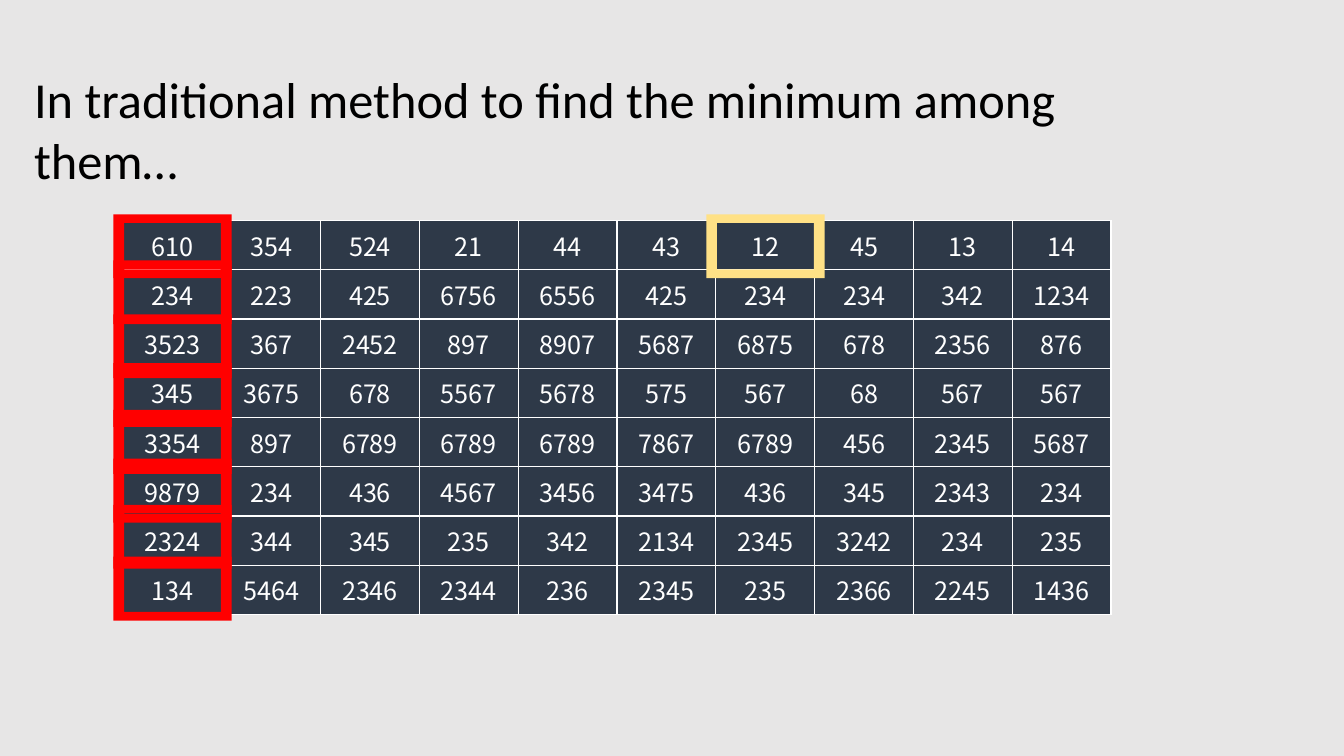
from dataclasses import dataclass

from lxml.etree import SubElement
from pptx import Presentation
from pptx.dml.color import RGBColor
from pptx.enum.text import MSO_ANCHOR, MSO_AUTO_SIZE, PP_ALIGN
from pptx.oxml.ns import qn
from pptx.slide import Slide
from pptx.table import _Cell
from pptx.text.text import TextFrame
from pptx.util import Cm, Pt

COLORS = {
    "background": "E7E6E6",
    "cell": "2E3948",
    "white": "FFFFFF",
    "black": "000000",
    "visited": "FF0000",
    "minimum": "FFE186",
}

NUMBERS = [
    [610, 354, 524, 21, 44, 43, 12, 45, 13, 14],
    [234, 223, 425, 6756, 6556, 425, 234, 234, 342, 1234],
    [3523, 367, 2452, 897, 8907, 5687, 6875, 678, 2356, 876],
    [345, 3675, 678, 5567, 5678, 575, 567, 68, 567, 567],
    [3354, 897, 6789, 6789, 6789, 7867, 6789, 456, 2345, 5687],
    [9879, 234, 436, 4567, 3456, 3475, 436, 345, 2343, 234],
    [2324, 344, 345, 235, 342, 2134, 2345, 3242, 234, 235],
    [134, 5464, 2346, 2344, 236, 2345, 235, 2366, 2245, 1436],
]

TABLE_LEFT, TABLE_TOP = 3.1, 5.56
COL_WIDTH, ROW_HEIGHT = 2.49, 1.24
FRAME_WIDTH, FRAME_HEIGHT = 2.98, 1.61
FRAME_EDGE_X, FRAME_EDGE_Y = 0.27, 0.22
VISITED_LEFT = 2.86
VISITED_TOPS = [5.4, 6.56, 7.92, 9.15, 10.33, 11.56, 12.72, 14.03]


@dataclass
class Frame:
    left: float
    top: float
    color: str


FRAMES = [Frame(VISITED_LEFT, top, "visited") for top in VISITED_TOPS]
FRAMES.append(Frame(VISITED_LEFT + 6 * COL_WIDTH, VISITED_TOPS[0], "minimum"))


def rgb(name: str) -> RGBColor:
    return RGBColor.from_string(COLORS[name])


def write_text(tf: TextFrame, text: str, *, font: str, size: float, color: str,
               align: PP_ALIGN = PP_ALIGN.LEFT) -> None:
    p = tf.paragraphs[0]
    p.alignment = align
    r = p.add_run()
    r.text = text
    r.font.name = font
    r.font.size = Pt(size)
    r.font.color.rgb = rgb(color)


def add_borders(cell: _Cell, color: str, width: float) -> None:
    tc_pr = cell._tc.get_or_add_tcPr()
    for i, side in enumerate(("a:lnL", "a:lnR", "a:lnT", "a:lnB")):
        ln = SubElement(tc_pr, qn(side), w=str(Pt(width)))
        fill = SubElement(ln, qn("a:solidFill"))
        SubElement(fill, qn("a:srgbClr"), val=COLORS[color])
        tc_pr.insert(i, ln)


def add_title(s: Slide) -> None:
    sp = s.shapes.add_textbox(Cm(0.61), Cm(1.6), Cm(28.4), Cm(1.8))
    tf = sp.text_frame
    tf.word_wrap = True
    tf.auto_size = MSO_AUTO_SIZE.SHAPE_TO_FIT_TEXT
    write_text(tf, "In traditional method to find the minimum among them…",
               font="Calibri", size=36, color="black")


def add_numbers(s: Slide) -> None:
    rows, cols = len(NUMBERS), len(NUMBERS[0])
    table = s.shapes.add_table(rows, cols, Cm(TABLE_LEFT), Cm(TABLE_TOP),
                               Cm(cols * COL_WIDTH), Cm(rows * ROW_HEIGHT)).table
    for col in table.columns:
        col.width = Cm(COL_WIDTH)
    for row, values in zip(table.rows, NUMBERS):
        row.height = Cm(ROW_HEIGHT)
        for cell, value in zip(row.cells, values):
            cell.fill.solid()
            cell.fill.fore_color.rgb = rgb("cell")
            cell.vertical_anchor = MSO_ANCHOR.MIDDLE
            add_borders(cell, "white", 1)
            write_text(cell.text_frame, str(value), font="Noto Sans CJK JP",
                       size=18, color="white", align=PP_ALIGN.CENTER)


def add_frame(s: Slide, frame: Frame) -> None:
    left, top = Cm(frame.left), Cm(frame.top)
    right, bottom = left + Cm(FRAME_WIDTH), top + Cm(FRAME_HEIGHT)
    dx, dy = Cm(FRAME_EDGE_X), Cm(FRAME_EDGE_Y)
    builder = s.shapes.build_freeform(left, top)
    builder.add_line_segments([(right, top), (right, bottom), (left, bottom)])
    builder.move_to(left + dx, top + dy)
    builder.add_line_segments([(left + dx, bottom - dy), (right - dx, bottom - dy),
                               (right - dx, top + dy)])
    sp = builder.convert_to_shape()
    sp.shadow.inherit = False
    sp.fill.solid()
    sp.fill.fore_color.rgb = rgb(frame.color)
    sp.line.fill.background()


def main() -> None:
    prs = Presentation()
    prs.slide_width, prs.slide_height = Cm(33.87), Cm(19.05)
    s = prs.slides.add_slide(prs.slide_layouts[6])
    s.background.fill.solid()
    s.background.fill.fore_color.rgb = rgb("background")
    add_numbers(s)
    add_title(s)
    for frame in FRAMES:
        add_frame(s, frame)
    prs.save("out.pptx")


if __name__ == "__main__":
    main()
